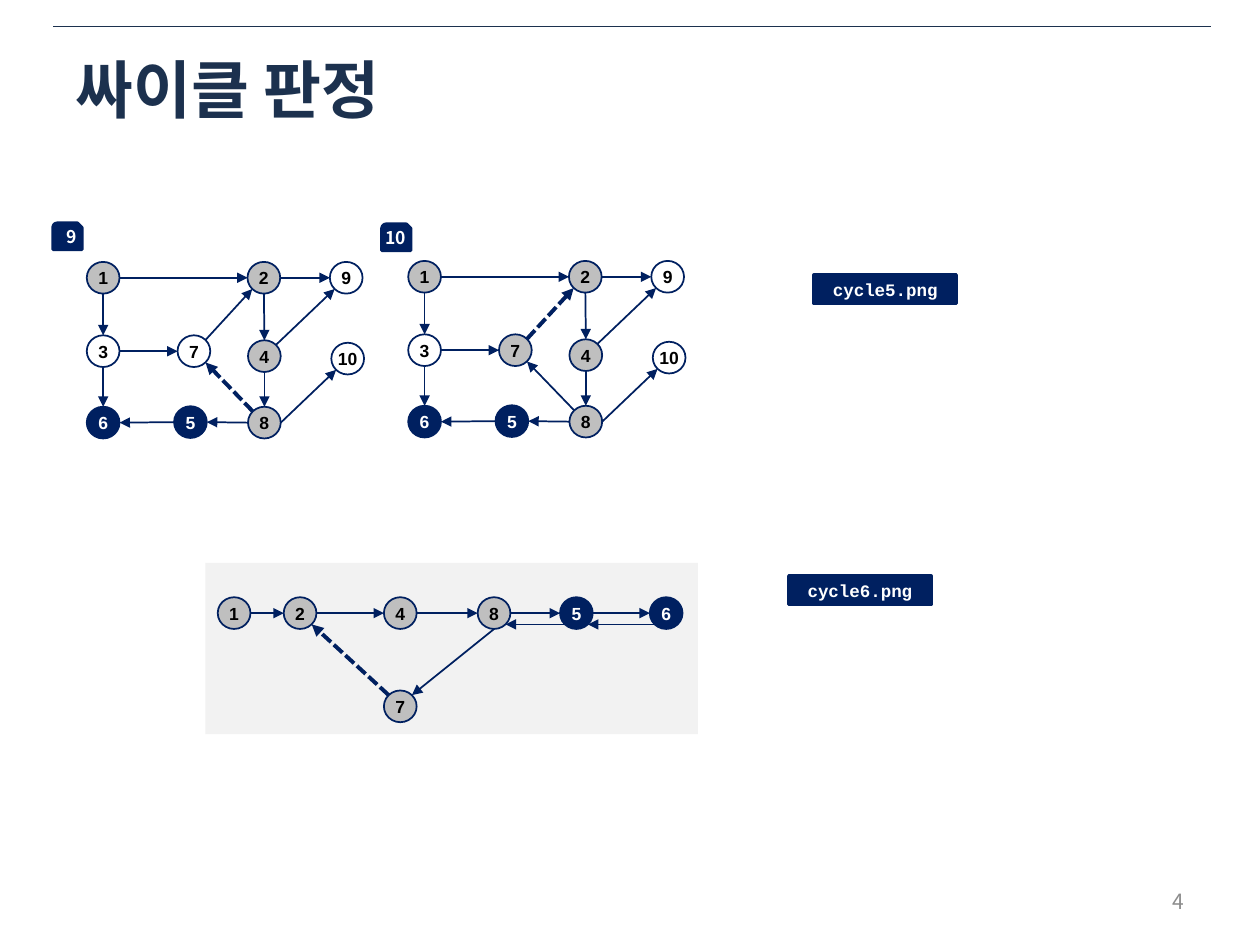
"""Build the cycle detection slide: two search steps and the search tree."""
from lxml.etree import SubElement
from pptx import Presentation
from pptx.dml.color import RGBColor
from pptx.enum.dml import MSO_LINE
from pptx.enum.shapes import MSO_CONNECTOR, MSO_SHAPE
from pptx.enum.text import MSO_ANCHOR, MSO_AUTO_SIZE, PP_ALIGN
from pptx.oxml.ns import qn
from pptx.util import Cm, Pt

NAVY = RGBColor(0x00, 0x20, 0x60)
TITLE_NAVY = RGBColor(0x1C, 0x31, 0x4E)
GRAY = RGBColor(0xBF, 0xBF, 0xBF)
PALE = RGBColor(0xF2, 0xF2, 0xF2)
PAGE_GRAY = RGBColor(0x8C, 0x8C, 0x8C)
BLACK = RGBColor(0x00, 0x00, 0x00)
WHITE = RGBColor(0xFF, 0xFF, 0xFF)
KOREAN = "Noto Sans CJK KR"

NODE_W, NODE_H = 0.66, 0.64
SITES = {
    "N": (0, -1), "S": (0, 1), "W": (-1, 0), "E": (1, 0),
    "NW": (-0.71, -0.71), "NE": (0.71, -0.71),
    "SW": (-0.71, 0.71), "SE": (0.71, 0.71),
}
DONE = {5, 6}

STEP_NODES = {
    1: (2.08, 5.6), 2: (5.32, 5.6), 9: (6.98, 5.6),
    3: (2.08, 7.08), 7: (3.91, 7.08), 4: (5.33, 7.18), 10: (7.01, 7.23),
    6: (2.08, 8.52), 5: (3.84, 8.51), 8: (5.33, 8.52),
}
STEP_EDGES = [
    (1, "E", 2, "W"), (2, "E", 9, "W"), (1, "S", 3, "N"), (3, "E", 7, "W"),
    (7, "NE", 2, "SW"), (2, "S", 4, "N"), (4, "NE", 9, "SW"), (4, "S", 8, "N"),
    (8, "NW", 7, "SE"), (8, "E", 10, "SW"), (8, "W", 5, "E"), (5, "W", 6, "E"),
    (3, "S", 6, "N"),
]
TREE_NODES = {
    1: (4.72, 12.36), 2: (6.05, 12.36), 4: (8.07, 12.36), 8: (9.96, 12.36),
    5: (11.62, 12.36), 6: (13.43, 12.36), 7: (8.07, 14.24),
}
TREE_EDGES = [
    (1, "E", 2, "W"), (2, "E", 4, "W"), (4, "E", 8, "W"), (8, "E", 5, "W"),
    (5, "E", 6, "W"), (6, "SW", 5, "SE"), (5, "SW", 8, "SE"),
    (8, "S", 7, "NE"), (7, "NW", 2, "SE"),
]
GRAPHS = [
    (STEP_NODES, STEP_EDGES, (0, 0), {1, 2, 4, 8}, (8, 7)),
    (STEP_NODES, STEP_EDGES, (6.48, -0.02), {1, 2, 4, 7, 8}, (7, 2)),
    (TREE_NODES, TREE_EDGES, (0, 0), {1, 2, 4, 7, 8}, (7, 2)),
]


def style_text(frame, text, font_name, size, color, align, bold=True):
    frame.text = text
    frame.vertical_anchor = MSO_ANCHOR.MIDDLE
    frame.paragraphs[0].alignment = align
    run = frame.paragraphs[0].runs[0]
    run.font.name, run.font.size, run.font.bold = font_name, Pt(size), bold
    run.font.color.rgb = color
    SubElement(run.font._element, qn("a:ea"), typeface=font_name)


def add_line(start, end, color, width):
    line = slide.shapes.add_connector(
        MSO_CONNECTOR.STRAIGHT, *[Cm(value) for value in (*start, *end)])
    line.line.color.rgb = color
    line.line.width = Pt(width)
    SubElement(line._element.spPr, qn("a:effectLst"))
    return line


prs = Presentation()
prs.slide_width, prs.slide_height = Cm(25.4), Cm(19.05)
slide = prs.slides.add_slide(prs.slide_layouts[5])

title = slide.shapes.title
title.left, title.top, title.width, title.height = Cm(1.27), Cm(0.84), Cm(22.86), Cm(1.9)
style_text(title.text_frame, "싸이클 판정", KOREAN, 36, TITLE_NAVY, PP_ALIGN.LEFT)
title.text_frame.auto_size = MSO_AUTO_SIZE.NONE

add_line((1.07, 0.53), (24.41, 0.53), TITLE_NAVY, 0.25)

tree_panel = slide.shapes.add_shape(
    MSO_SHAPE.RECTANGLE, Cm(4.14), Cm(11.35), Cm(9.93), Cm(3.45))
tree_panel.shadow.inherit = False
tree_panel.fill.solid()
tree_panel.fill.fore_color.rgb = PALE
tree_panel.line.fill.background()

page_number = slide.shapes.add_textbox(Cm(18.21), Cm(17.65), Cm(5.92), Cm(1.02))
page_number.text_frame.word_wrap = True
style_text(page_number.text_frame, "4", KOREAN, 12, PAGE_GRAY, PP_ALIGN.RIGHT, False)

for nodes, edges, (shift_x, shift_y), visiting, back_edge in GRAPHS:
    for number, (x, y) in nodes.items():
        node = slide.shapes.add_shape(
            MSO_SHAPE.OVAL, Cm(x + shift_x - NODE_W / 2), Cm(y + shift_y - NODE_H / 2),
            Cm(NODE_W), Cm(NODE_H))
        node.shadow.inherit = False
        node.line.color.rgb = NAVY
        node.line.width = Pt(1)
        if number in visiting | DONE:
            node.fill.solid()
            node.fill.fore_color.rgb = NAVY if number in DONE else GRAY
        else:
            node.fill.background()
        node.text_frame.margin_left = node.text_frame.margin_right = 0
        style_text(node.text_frame, str(number), "Arial", 10,
                   WHITE if number in DONE else BLACK, PP_ALIGN.CENTER)

    for source, source_site, target, target_site in edges:
        ends = []
        for number, site in ((source, source_site), (target, target_site)):
            x, y = nodes[number]
            dx, dy = SITES[site]
            ends.append((x + shift_x + dx * NODE_W / 2, y + shift_y + dy * NODE_H / 2))
        is_back = (source, target) == back_edge
        arrow = add_line(*ends, NAVY, 2.25 if is_back else 1)
        if is_back:
            arrow.line.dash_style = MSO_LINE.SQUARE_DOT
        SubElement(arrow.line._get_or_add_ln(), qn("a:tailEnd"), type="triangle")

SNIP, BOX = MSO_SHAPE.SNIP_ROUND_RECTANGLE, MSO_SHAPE.RECTANGLE
for kind, text, font_name, x, y, width, height, inset in [
    (SNIP, "9", KOREAN, 1.07, 4.5, 0.58, 0.53, 0.25),
    (SNIP, "10", KOREAN, 7.7, 4.52, 0.58, 0.53, 0),
    (BOX, "cycle5.png", "Courier New", 16.41, 5.54, 2.87, 0.58, 0.25),
    (BOX, "cycle6.png", "Courier New", 15.9, 11.61, 2.87, 0.58, 0.25),
]:
    tag = slide.shapes.add_shape(kind, Cm(x), Cm(y), Cm(width), Cm(height))
    tag.shadow.inherit = False
    tag.fill.solid()
    tag.fill.fore_color.rgb = NAVY
    tag.line.color.rgb = NAVY
    tag.line.width = Pt(2)
    tag.text_frame.margin_left = tag.text_frame.margin_right = Cm(inset)
    style_text(tag.text_frame, text, font_name, 10, WHITE, PP_ALIGN.CENTER)

prs.save("out.pptx")
